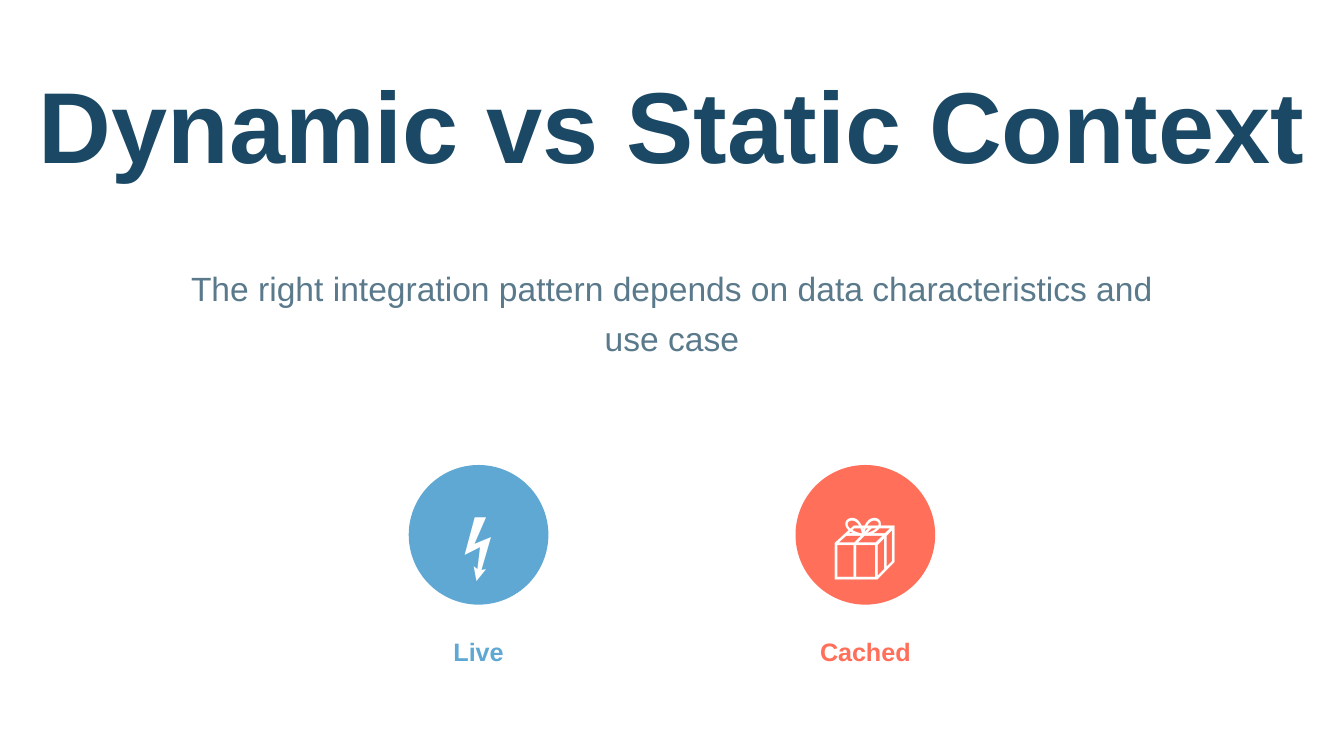
from pptx import Presentation
from pptx.dml.color import RGBColor
from pptx.enum.shapes import MSO_SHAPE
from pptx.enum.text import PP_ALIGN
from pptx.util import Cm, Pt

ROUNDED = MSO_SHAPE.ROUNDED_RECTANGLE
CENTER = PP_ALIGN.CENTER

SLIDE_W, SLIDE_H = 25.4, 14.29
COLORS = {
    "background": "FFFFFF",
    "title": "1B4965",
    "subtitle": "5A7A8C",
    "live": "5FA8D3",
    "cached": "FF6F59",
    "icon": "FFFFFF",
}
# Font size, weight, line spacing and space after, in points
FORMATS = {
    "title": {"size": 54, "bold": True, "line": 54, "after": 18},
    "subtitle": {"size": 18, "bold": False, "line": 27, "after": 3},
    "icon": {"size": 36, "bold": True, "line": 50.4, "after": 0},
    "label": {"size": 13.5, "bold": True, "line": 21, "after": 3},
}
BADGES = [("⚡", "Live", "live"), ("📦", "Cached", "cached")]


def rgb(name):
    return RGBColor.from_string(COLORS[name])


def add_text(slide, box, text, style, color):
    """Place one centred line of text in box (left, top, width, height in cm)."""
    frame = slide.shapes.add_textbox(*map(Cm, box)).text_frame
    for name, value in {"word_wrap": True, "margin_left": 0, "margin_top": 0,
                        "margin_right": 0, "margin_bottom": 0}.items():
        setattr(frame, name, value)

    look = FORMATS[style]
    paragraph = frame.paragraphs[0]
    for name, value in {"alignment": CENTER, "line_spacing": Pt(look["line"]),
                        "space_after": Pt(look["after"])}.items():
        setattr(paragraph, name, value)

    run = paragraph.add_run()
    run.text = text
    for name, value in {"name": "Arial", "size": Pt(look["size"]),
                        "bold": look["bold"]}.items():
        setattr(run.font, name, value)
    run.font.color.rgb = rgb(color)


def add_heading(slide, box):
    """Title across the box, subtitle in a narrower column below."""
    left, top, width, _ = box
    inset = 2.74
    add_text(slide, (left, top, width, 1.91),
             "Dynamic vs Static Context", "title", "title")
    add_text(slide, (left + inset, top + 3.3, width - 2 * inset, 1.91),
             "The right integration pattern depends on data characteristics"
             " and use case", "subtitle", "subtitle")


def add_badge(slide, box, icon, label, color):
    """Icon on a round disc with its label below."""
    left, top, width, height = box
    disc_size, icon_w, icon_h, label_h = 2.64, 1.63, 1.78, 0.74
    center = left + width / 2

    # Disc
    disc = slide.shapes.add_shape(ROUNDED, Cm(center - disc_size / 2), Cm(top),
                                  Cm(disc_size), Cm(disc_size))
    disc.adjustments[0] = 0.5
    disc.shadow.inherit = False
    disc.fill.solid()
    disc.fill.fore_color.rgb = rgb(color)
    disc.line.fill.background()

    # Icon and label
    icon_top = top + (disc_size - icon_h) / 2
    add_text(slide, (center - icon_w / 2, icon_top, icon_w, icon_h),
             icon, "icon", "icon")
    add_text(slide, (left, top + height - label_h, width, label_h),
             label, "label", color)


def add_badge_row(slide, box):
    """Badges spread evenly from the left to the right edge of the box."""
    left, top, width, height = box
    badge_w = 2.69
    pitch = (width - badge_w) / (len(BADGES) - 1)
    for index, (icon, label, color) in enumerate(BADGES):
        add_badge(slide, (left + index * pitch, top, badge_w, height),
                  icon, label, color)


def main():
    prs = Presentation()
    prs.slide_width, prs.slide_height = Cm(SLIDE_W), Cm(SLIDE_H)
    slide = prs.slides.add_slide(prs.slide_layouts[6])
    slide.background.fill.solid()
    slide.background.fill.fore_color.rgb = rgb("background")

    add_heading(slide, (0.5, 1.57, SLIDE_W - 2 * 0.5, 5.21))
    add_badge_row(slide, (7.7, 8.79, SLIDE_W - 2 * 7.7, 3.81))
    prs.save("out.pptx")


if __name__ == "__main__":
    main()
